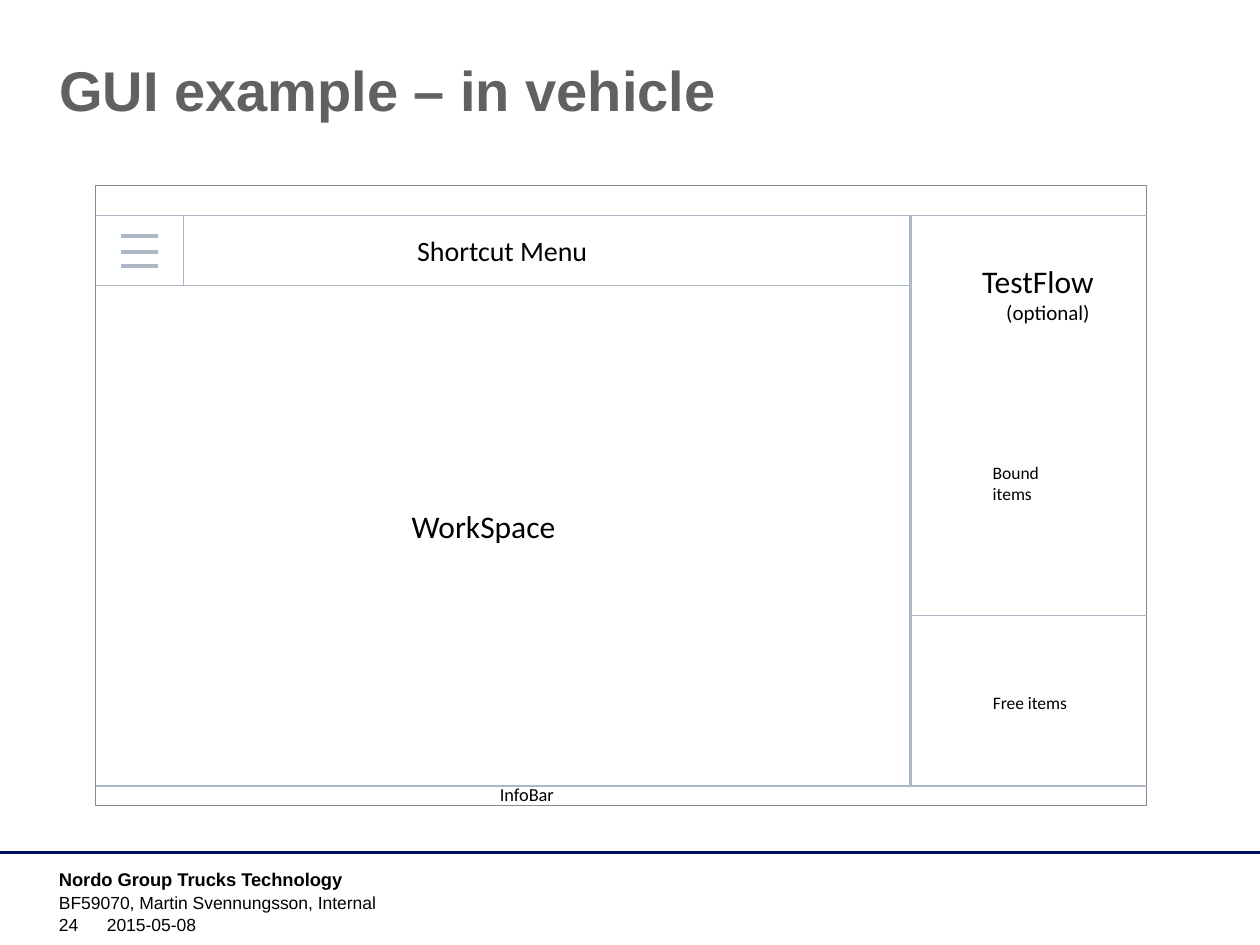
from lxml.etree import SubElement
from pptx import Presentation
from pptx.dml.color import RGBColor
from pptx.enum.shapes import MSO_CONNECTOR, MSO_SHAPE
from pptx.enum.text import MSO_ANCHOR, PP_ALIGN
from pptx.oxml.ns import qn
from pptx.util import Pt

# Content: text, box (left, top, width, height), format
TITLE = "GUI example – in vehicle"
FOOTER = [
    ("Nordo Group Trucks Technology", (26.6, 492.5, 200, 17.3), dict(size=10.5, bold=True)),
    ("BF59070, Martin Svennungsson, Internal", (26.6, 506.2, 541.4, 17.3), dict(size=10)),
    ("24", (26.6, 521.3, 39.6, 16.6), dict(size=10, anchor=MSO_ANCHOR.BOTTOM)),
    ("2015-05-08", (54, 521.3, 189.4, 16.6), dict(size=10, anchor=MSO_ANCHOR.BOTTOM)),
]
AREA_LABELS = [
    ("WorkSpace", (228.2, 286.2, 128.2, 40.3), dict(size=18)),
    ("InfoBar", (278.6, 444.2, 64.1, 20.2), dict(size=10.5)),
    ("Shortcut Menu", (231.3, 129.9, 198.7, 26.6), dict(size=16)),
    ("Bound items", (560.2, 260.6, 64.8, 19.4), dict(size=10)),
    ("Free items", (560.2, 391.7, 56.9, 19.4), dict(size=10)),
]
TEST_FLOW = ("TestFlow", "(optional)", (554.2, 146.2, 89.3, 73.4))

# Edges of the window areas
LEFT, RIGHT, TOP, BOTTOM = 54.7, 655.2, 106, 460.3
HEADER, MENU, INFO = 123.1, 163.2, 449.1
MENU_BUTTON, DIVIDER, FREE_ITEMS = 104.9, 520.3, 351.9
ICON_LEFT, ICON_RIGHT = 69.1, 90.2
ICON_BARS = [134.8, 144, 151.9]


def color(hex_string):
    return RGBColor.from_string(hex_string)


def write(frame, text, size, font="Arial", bold=False, ink="000000", anchor=MSO_ANCHOR.TOP,
          align=PP_ALIGN.LEFT, new_paragraph=False):
    frame.word_wrap = True
    frame.vertical_anchor = anchor
    paragraph = frame.add_paragraph() if new_paragraph else frame.paragraphs[0]
    paragraph.alignment = align
    run = paragraph.add_run()
    run.text = text
    run.font.size = Pt(size)
    run.font.name = font
    run.font.bold = bold
    run.font.color.rgb = color(ink)


def add_frame(slide, box):
    return slide.shapes.add_textbox(*map(Pt, box)).text_frame


def add_line(slide, x1, y1, x2, y2, width=0.75, ink="ADB8C4"):
    line = slide.shapes.add_connector(MSO_CONNECTOR.STRAIGHT, Pt(x1), Pt(y1), Pt(x2), Pt(y2))
    line.line.color.rgb = color(ink)
    line.line.width = Pt(width)
    SubElement(line._element.spPr, qn("a:effectLst"))


def main():
    presentation = Presentation()
    presentation.slide_width, presentation.slide_height = Pt(720), Pt(540)
    slide = presentation.slides.add_slide(presentation.slide_layouts[5])

    # Title
    title = slide.shapes.title
    title.left, title.top, title.width, title.height = map(Pt, (26.6, 28.1, 648, 65.5))
    write(title.text_frame, TITLE, 32, bold=True, ink="616161")

    # Footer
    add_line(slide, 0, 487.2, 720, 487.2, 2, "000F60")
    for text, box, style in FOOTER:
        write(add_frame(slide, box), text, **style)

    # Window outline
    window = slide.shapes.add_shape(MSO_SHAPE.FLOWCHART_PROCESS, Pt(LEFT), Pt(TOP),
                                    Pt(RIGHT - LEFT), Pt(BOTTOM - TOP))
    window.shadow.inherit = False
    window.fill.solid()
    window.fill.fore_color.rgb = color("FFFFFF")
    window.line.color.rgb = color("838B94")
    window.line.width = Pt(0.75)

    # Lines between the areas
    for x1, x2, y in [(LEFT, RIGHT, HEADER), (LEFT, DIVIDER, MENU),
                      (LEFT, RIGHT, INFO), (DIVIDER, RIGHT, FREE_ITEMS)]:
        add_line(slide, x1, y, x2, y)
    add_line(slide, DIVIDER, HEADER, DIVIDER, INFO, 1.5)
    add_line(slide, MENU_BUTTON, HEADER, MENU_BUTTON, MENU)

    # Menu icon
    for y in ICON_BARS:
        add_line(slide, ICON_LEFT, y, ICON_RIGHT, y, 2.25)

    # Area labels
    for text, box, style in AREA_LABELS:
        write(add_frame(slide, box), text, font="Calibri", **style)
    name, remark, box = TEST_FLOW
    frame = add_frame(slide, box)
    write(frame, name, 18, font="Calibri")
    write(frame, remark, 12, font="Calibri", align=PP_ALIGN.CENTER, new_paragraph=True)

    presentation.save("out.pptx")


if __name__ == "__main__":
    main()
